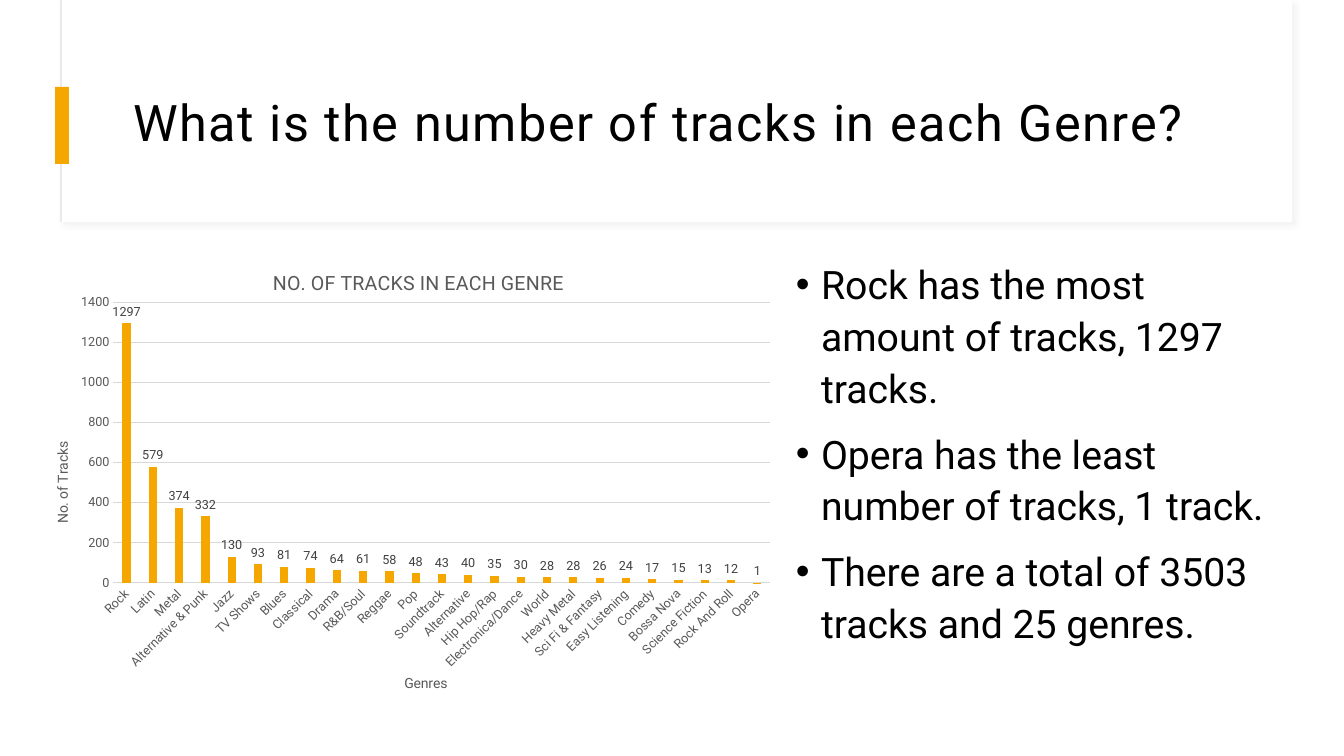
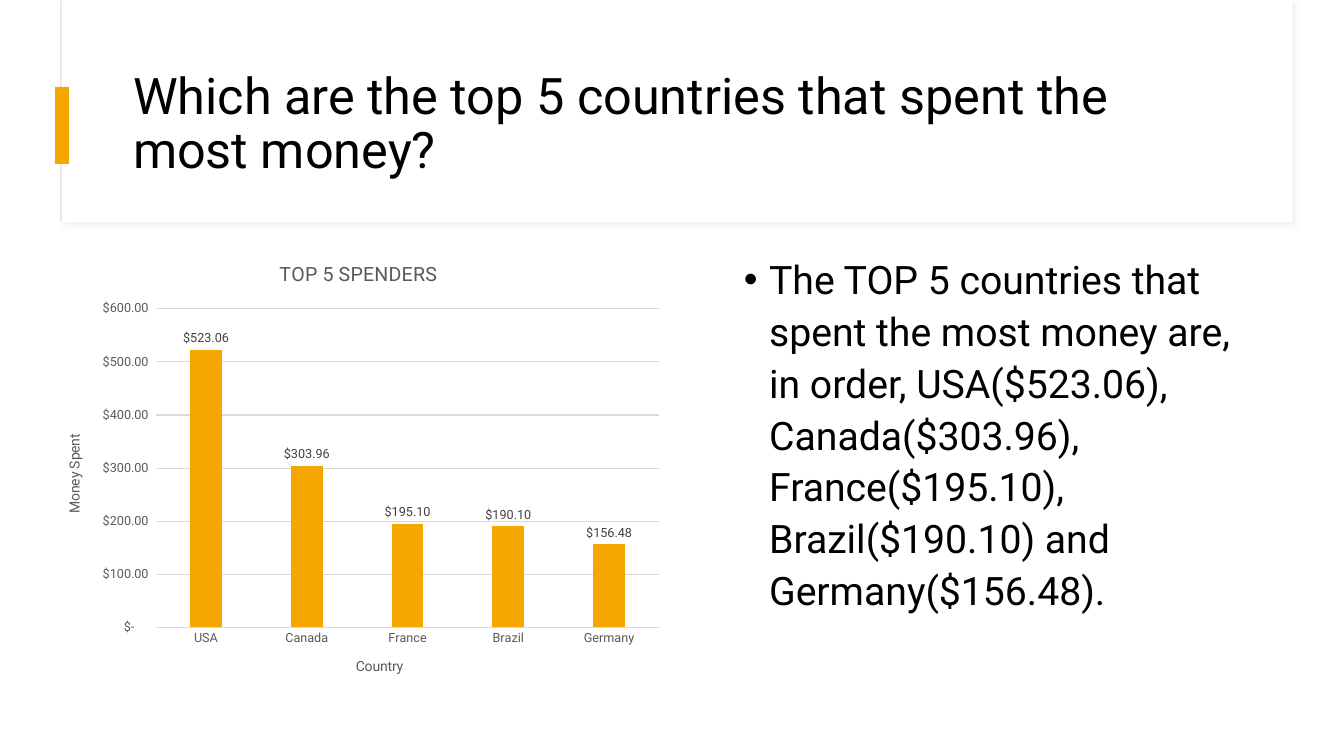
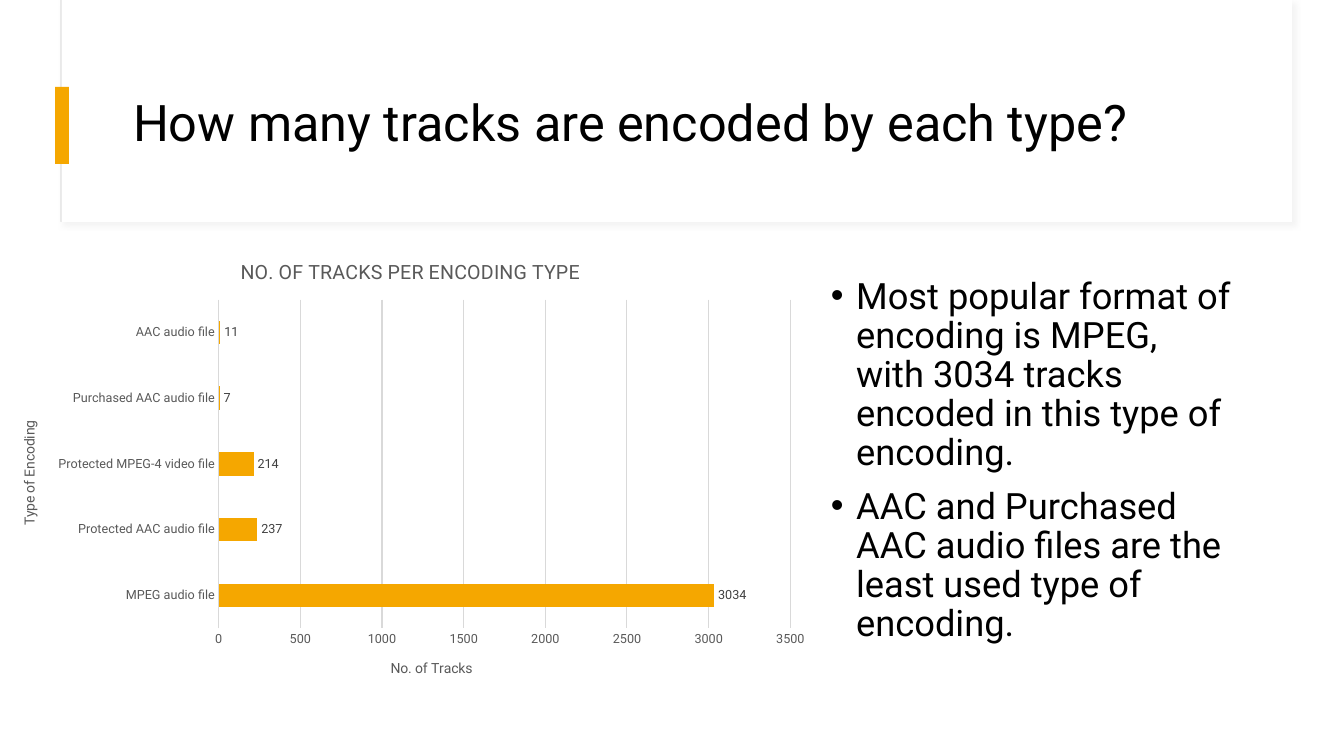
from pptx import Presentation
from pptx.chart.data import CategoryChartData
from pptx.dml.color import RGBColor
from pptx.enum import chart as charts, shapes, text
from pptx.oxml import parse_xml
from pptx.oxml.ns import nsdecls, qn
from pptx.util import Emu, Pt

SCALE = 12192000 / 1344
FONT = "Roboto"
COLORS = {
    "white": "FFFFFF",
    "black": "000000",
    "accent": "F5A700",
    "frame": "E9E9E9",
    "grid": "D9D9D9",
    "axis": "595959",
    "label": "404040",
}
DOLLARS = ('_-[$$-409]* #,##0.00_ ;_-[$$-409]* \\-#,##0.00\\ ;'
           '_-[$$-409]* "-"??_ ;_-@_ ')
GENRES = {
    "Rock": 1297, "Latin": 579, "Metal": 374, "Alternative & Punk": 332,
    "Jazz": 130, "TV Shows": 93, "Blues": 81, "Classical": 74, "Drama": 64,
    "R&B/Soul": 61, "Reggae": 58, "Pop": 48, "Soundtrack": 43,
    "Alternative": 40, "Hip Hop/Rap": 35, "Electronica/Dance": 30,
    "World": 28, "Heavy Metal": 28, "Sci Fi & Fantasy": 26,
    "Easy Listening": 24, "Comedy": 17, "Bossa Nova": 15,
    "Science Fiction": 13, "Rock And Roll": 12, "Opera": 1,
}
SPENDERS = {"USA": 523.06, "Canada": 303.96, "France": 195.10,
            "Brazil": 190.10, "Germany": 156.48}
ENCODINGS = {"MPEG audio file": 3034, "Protected AAC audio file": 237,
             "Protected MPEG-4 video file": 214,
             "Purchased AAC audio file": 7, "AAC audio file": 11}


def px(*lengths):
    return [Emu(round(length * SCALE)) for length in lengths]


def rgb(name):
    return RGBColor.from_string(COLORS[name])


def style(font, size, color):
    font.name = FONT
    font.size = Pt(size)
    font.bold = False
    font.color.rgb = rgb(color)


def draw_line(line, color):
    line.color.rgb = rgb(color)
    line.width = Pt(0.75)


def add_rect(slide, box, fill, outline=None):
    rect = slide.shapes.add_shape(shapes.MSO_SHAPE.RECTANGLE, *px(*box))
    rect.shadow.inherit = False
    rect.fill.solid()
    rect.fill.fore_color.rgb = rgb(fill)
    if outline:
        draw_line(rect.line, outline)
    else:
        rect.line.fill.background()
    return rect


def add_soft_shadow(shape):
    effects = shape._element.spPr.find(qn("a:effectLst"))
    effects.append(parse_xml(
        f'<a:outerShdw {nsdecls("a")} blurRad="50800" dist="38100" '
        f'dir="2700000"><a:srgbClr val="{COLORS["grid"]}">'
        '<a:alpha val="30000"/></a:srgbClr></a:outerShdw>'))


def decorate_layout(layout, slide):
    frame = add_rect(slide, (61, 0, 1231, 222), "white", "frame")
    add_soft_shadow(frame)
    panel = add_rect(slide, (62, 0, 1230, 222), "white")
    marker = add_rect(slide, (55, 87, 14, 77), "accent")
    for position, part in enumerate((frame, panel, marker), start=2):
        layout.shapes.element.insert(position, part._element)


def set_title(slide, wording, spacing=None):
    title = slide.shapes.title
    title.left, title.top, title.width, title.height = px(123, 60, 1121, 130)
    frame = title.text_frame
    frame.text = wording
    frame.word_wrap = True
    frame.auto_size = text.MSO_AUTO_SIZE.NONE
    frame.vertical_anchor = text.MSO_ANCHOR.MIDDLE
    heading = frame.paragraphs[0]
    heading.alignment = text.PP_ALIGN.LEFT
    heading.line_spacing = 0.9
    style(heading.font, 36, "black")
    if spacing:
        heading.runs[0]._r.get_or_add_rPr().set("spc", str(spacing))


def add_bullets(slide, box, findings, size=28, line_spacing=1.1):
    frame = slide.shapes.add_textbox(*px(*box)).text_frame
    frame.word_wrap = True
    frame.text = "\n".join(findings)
    for finding in frame.paragraphs:
        finding.line_spacing = line_spacing
        finding.space_before = Pt(10)
        style(finding.font, size, "black")
        properties = finding._p.get_or_add_pPr()
        properties.set("marL", "228600")
        properties.set("indent", "-228600")
        bullet = (f'<a:buFont {nsdecls("a")} typeface="Arial"/>',
                  f'<a:buChar {nsdecls("a")} char="\u2022"/>')
        for offset, markup in enumerate(bullet):
            properties.insert_element_before(
                parse_xml(markup), "a:tabLst", "a:defRPr", "a:extLst")


def set_heading(heading, wording, size, rotation=0):
    frame = heading.text_frame
    frame.text = wording
    style(frame.paragraphs[0].font, size, "axis")
    frame._txBody.bodyPr.set("rot", str(rotation))
    frame._txBody.bodyPr.set("vert", "horz")


def format_axis(axis, wording, rotation):
    set_heading(axis.axis_title, wording, 10, rotation)
    axis.major_tick_mark = charts.XL_TICK_MARK.NONE
    axis.minor_tick_mark = charts.XL_TICK_MARK.NONE
    style(axis.tick_labels.font, 9, "axis")


def add_bar_chart(slide, box, kind, heading, names, figures, top, step,
                  gap, overlap=0, number_format="General"):
    data = CategoryChartData()
    data.categories = list(figures)
    data.add_series("Series 1", list(figures.values()))
    chart = slide.shapes.add_chart(kind, *px(*box), data).chart
    style(chart.font, 10, "black")
    chart.has_legend = False
    set_heading(chart.chart_title, heading, 14)

    upright = kind == charts.XL_CHART_TYPE.COLUMN_CLUSTERED
    turns = (0, -5400000) if upright else (-5400000, 0)
    categories, values = chart.category_axis, chart.value_axis
    for axis, name, turn in zip((categories, values), names, turns):
        format_axis(axis, name, turn)
    draw_line(categories.format.line, "grid")
    values.format.line.fill.background()
    draw_line(values.major_gridlines.format.line, "grid")
    values.minimum_scale, values.maximum_scale = 0, top
    values.major_unit = step
    values.tick_labels.number_format = number_format
    values.tick_labels.number_format_is_linked = False

    plot = chart.plots[0]
    plot.vary_by_categories = False
    plot.gap_width, plot.overlap = gap, overlap
    bars = plot.series[0]
    bars.invert_if_negative = False
    bars.format.fill.solid()
    bars.format.fill.fore_color.rgb = rgb("accent")
    labels = bars.data_labels
    labels.show_value = True
    labels.position = charts.XL_LABEL_POSITION.OUTSIDE_END
    labels.number_format = number_format
    labels.number_format_is_linked = False
    style(labels.font, 9, "label")
    return chart


def place_plot(chart, x, y, w, h):
    area = chart._chartSpace.chart.plotArea
    automatic = area.find(qn("c:layout"))
    if automatic is not None:
        area.remove(automatic)
    sizes = "".join(f'<c:{key} val="{value}"/>' for key, value in
                    (("x", x), ("y", y), ("w", w), ("h", h)))
    area.insert(0, parse_xml(
        f'<c:layout {nsdecls("c")}><c:manualLayout>'
        '<c:layoutTarget val="inner"/><c:xMode val="edge"/>'
        f'<c:yMode val="edge"/>{sizes}</c:manualLayout></c:layout>'))


def build_genres(slide):
    set_title(slide, "What is the number of tracks in each Genre?", 110)
    add_bullets(slide, (786, 251, 507, 445), [
        "Rock has the most amount of tracks, 1297 tracks.",
        "Opera has the least number of tracks, 1 track.",
        "There are a total of 3503 tracks and 25 genres."])
    chart = add_bar_chart(
        slide, (51, 251, 735, 445), charts.XL_CHART_TYPE.COLUMN_CLUSTERED,
        "NO. OF TRACKS IN EACH GENRE", ("Genres", "No. of Tracks"),
        GENRES, 1400, 200, 219, -27)
    place_plot(chart, 0.085, 0.116, 0.894, 0.63)
    chart.category_axis._element.txPr.bodyPr.set("rot", "-2700000")


def build_spenders(slide):
    set_title(slide, "Which are the top 5 countries that spent the most money?")
    add_bullets(slide, (734, 246, 510, 454), [
        "The TOP 5 countries that spent the most money are, in order, "
        "USA($523.06), Canada($303.96), France($195.10), "
        "Brazil($190.10) and Germany($156.48)."])
    add_bar_chart(
        slide, (45, 242, 627, 454), charts.XL_CHART_TYPE.COLUMN_CLUSTERED,
        "TOP 5 SPENDERS", ("Country", "Money Spent"),
        SPENDERS, 600, 100, 219, -27, DOLLARS)


def build_encodings(slide):
    set_title(slide, "How many tracks are encoded by each type?")
    add_bullets(slide, (821, 273, 423, 407), [
        "Most popular format of encoding is MPEG, with 3034 tracks "
        "encoded in this type of encoding.",
        "AAC and Purchased AAC audio files are the least used type of "
        "encoding."], 25.9, 0.9)
    add_bar_chart(
        slide, (0, 240, 821, 457), charts.XL_CHART_TYPE.BAR_CLUSTERED,
        "NO. OF TRACKS PER ENCODING TYPE",
        ("Type of Encoding", "No. of Tracks"), ENCODINGS, 3500, 500, 182)


def main():
    deck = Presentation()
    deck.slide_width, deck.slide_height = px(1344, 756)
    layout = deck.slide_layouts[5]
    builders = (build_genres, build_spenders, build_encodings)
    slides = [deck.slides.add_slide(layout) for _ in builders]
    decorate_layout(layout, slides[0])
    for build, slide in zip(builders, slides):
        build(slide)
    deck.save("out.pptx")


main()
